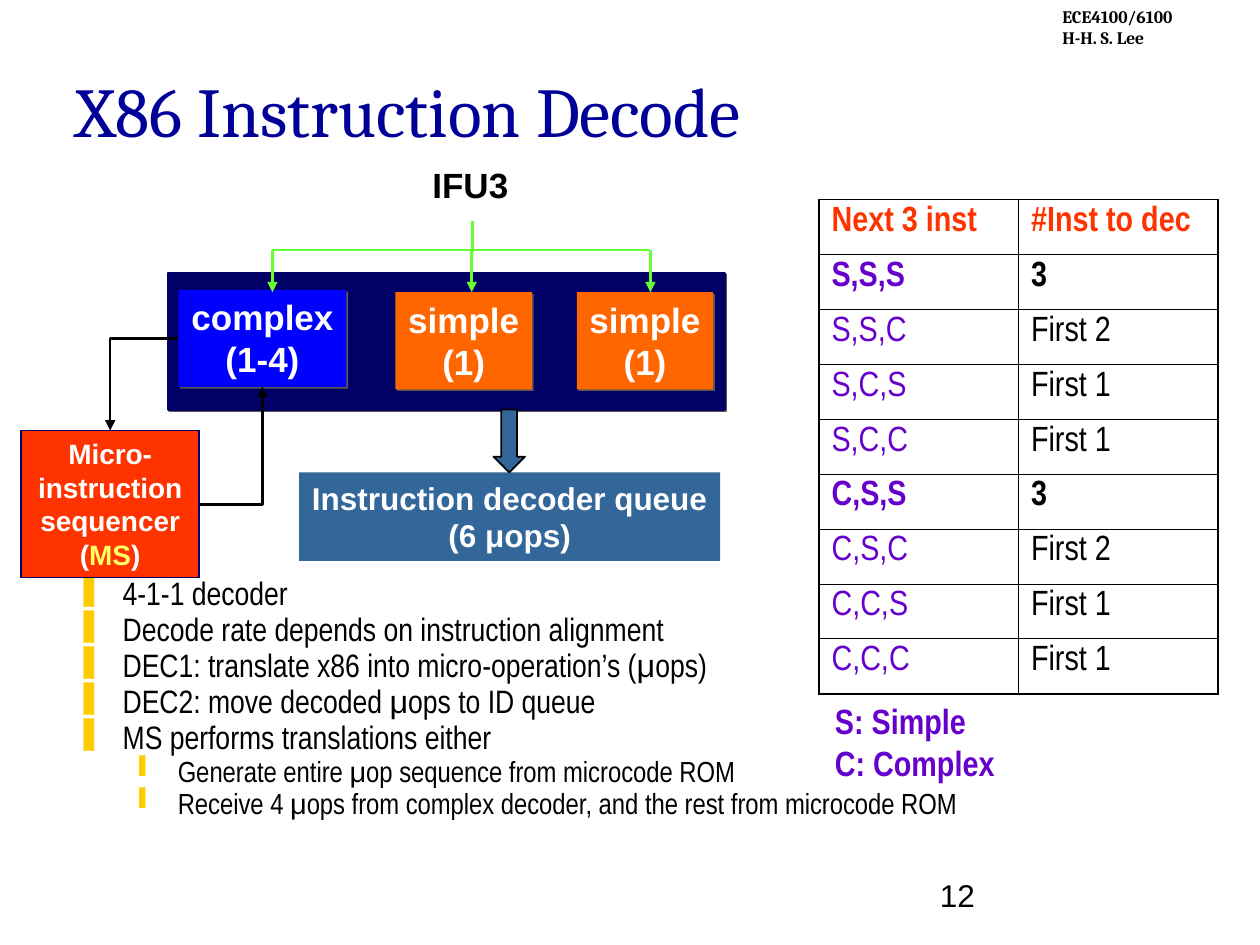
from lxml.etree import SubElement
from pptx import Presentation
from pptx.dml.color import RGBColor
from pptx.enum.shapes import MSO_CONNECTOR as CONNECTOR, MSO_SHAPE as SHAPE
from pptx.enum.text import MSO_ANCHOR as ANCHOR, PP_ALIGN as ALIGN
from pptx.oxml.ns import qn
from pptx.util import Pt

BLACK, WHITE, NAVY = "000000", "FFFFFF", "000066"
GREEN, PURPLE, RED = "66FF33", "6600CC", "FF3300"
ORANGE, STEEL, YELLOW = "FF6600", "336699", "FFCC00"
SHADOW = "5E574E"


def rgb(color):
    return RGBColor.from_string(color)


def set_font(font, size, name, color, bold=False):
    font.size, font.name, font.bold = Pt(size), name, bold
    font.color.rgb = rgb(color)


def write(frame, lines, size, name, color, bold=False, align=ALIGN.LEFT,
          anchor=ANCHOR.TOP, wrap=False):
    """Fill a text frame; a line is a string or a list of (text, color) runs."""
    frame.word_wrap = wrap
    frame.vertical_anchor = anchor
    for index, line in enumerate(lines):
        paragraph = frame.paragraphs[0] if index == 0 else frame.add_paragraph()
        paragraph.alignment = align
        set_font(paragraph.font, size, name, color, bold)
        runs = [(line, color)] if isinstance(line, str) else line
        for text, run_color in runs:
            run = paragraph.add_run()
            run.text = text
            if run_color != color:
                run.font.color.rgb = rgb(run_color)


def add_text(slide, box, lines, size, name, color, **options):
    shape = slide.shapes.add_textbox(*map(Pt, box))
    write(shape.text_frame, lines, size, name, color, **options)


def add_block(slide, kind, box, fill, line=None, shadow=False):
    shape = slide.shapes.add_shape(kind, *map(Pt, box))
    shape.fill.solid()
    shape.fill.fore_color.rgb = rgb(fill)
    if line:
        shape.line.color.rgb, shape.line.width = rgb(line[0]), Pt(line[1])
    else:
        shape.line.fill.background()
    shape.shadow.inherit = False
    if shadow:
        effects = shape._element.spPr.find(qn("a:effectLst"))
        outer = SubElement(effects, qn("a:outerShdw"), dist=str(Pt(1.4)),
                           dir="2700000", algn="ctr", rotWithShape="0")
        SubElement(outer, qn("a:srgbClr"), val=SHADOW)
    return shape


def add_label_block(slide, box, lines, fill, size=20, line=None, shadow=False, wrap=False):
    shape = add_block(slide, SHAPE.RECTANGLE, box, fill, line, shadow)
    write(shape.text_frame, lines, size, "Arial", WHITE, bold=True,
          align=ALIGN.CENTER, wrap=wrap)


def add_line(slide, start, end, color, arrow=False, bent=False):
    kind = CONNECTOR.ELBOW if bent else CONNECTOR.STRAIGHT
    connector = slide.shapes.add_connector(kind, *map(Pt, start + end))
    connector.line.color.rgb, connector.line.width = rgb(color), Pt(1.5)
    properties = connector._element.spPr
    if bent:  # one corner: horizontal first, then vertical
        properties.find(qn("a:prstGeom")).set("prst", "bentConnector2")
    if arrow:
        SubElement(properties.find(qn("a:ln")), qn("a:tailEnd"), type="triangle")
    SubElement(properties, qn("a:effectLst"))


def set_bullet(paragraph, character, left, hanging):
    properties = paragraph._p.get_or_add_pPr()
    properties.set("marL", str(Pt(left)))
    properties.set("indent", str(-Pt(hanging)))
    color = SubElement(properties, qn("a:buClr"))
    SubElement(color, qn("a:srgbClr"), val=YELLOW)
    SubElement(properties, qn("a:buChar"), char=character)
    # Default run properties follow the bullet in the schema
    properties.append(properties.find(qn("a:defRPr")))


def add_bullets(slide, box, items):
    frame = slide.shapes.add_textbox(*map(Pt, box)).text_frame
    frame.word_wrap = True
    for index, (level, text) in enumerate(items):
        paragraph = frame.paragraphs[0] if index == 0 else frame.add_paragraph()
        size, before, character, left, hanging = (
            (18.5, 5, "\u275a", 27, 27), (16.6, 4.5, "\u2759", 58.5, 22.5))[level]
        paragraph.level = level
        paragraph.line_spacing, paragraph.space_before = 0.7, Pt(before)
        set_font(paragraph.font, size, "Arial Narrow", BLACK)
        set_bullet(paragraph, character, left, hanging)
        for part in filter(None, text.partition("μ")):
            run = paragraph.add_run()
            run.text = part
            if part == "μ":
                run.font.name = "Arial"


def set_borders(cell, outer_sides):
    properties = cell._tc.get_or_add_tcPr()
    for side in "LRTB":
        width = 1.08 if side in outer_sides else 0.45
        line = SubElement(properties, qn("a:ln" + side), w=str(Pt(width)))
        fill = SubElement(line, qn("a:solidFill"))
        SubElement(fill, qn("a:srgbClr"), val=BLACK)


def add_decode_table(slide, box, rows):
    table = slide.shapes.add_table(len(rows), 2, *map(Pt, box)).table
    table.first_row = table.horz_banding = False
    last = len(rows) - 1
    for row, texts in enumerate(rows):
        table.rows[row].height = Pt(box[3] / len(rows))
        bold = row == 0 or texts[1] == "3"
        for column, text in enumerate(texts):
            cell = table.cell(row, column)
            set_borders(cell, "LR"[column] + "T" * (row == 0) + "B" * (row == last))
            cell.fill.background()
            color = RED if row == 0 else (PURPLE, BLACK)[column]
            write(cell.text_frame, [text], 20, "Arial Narrow", color, bold, wrap=True)
            cell.text_frame.paragraphs[0].space_before = Pt(5)


def main():
    presentation = Presentation()
    presentation.slide_width, presentation.slide_height = Pt(720), Pt(540)
    slide = presentation.slides.add_slide(presentation.slide_layouts[6])

    # Heading
    add_text(slide, (600, 0, 120, 31.5), ["ECE4100/6100", "H-H. S. Lee"],
             10, "Cambria", BLACK, bold=True, wrap=True)
    add_block(slide, SHAPE.RECTANGLE, (96, 156, 318, 78), NAVY, (NAVY, 1.5), shadow=True)
    add_text(slide, (36, 24, 612, 66), ["X86 Instruction Decode"],
             40, "Cambria", "000099", anchor=ANCHOR.BOTTOM, wrap=True)

    # Notes on the decoder
    add_bullets(slide, (36, 330, 660, 147), [
        (0, "4-1-1 decoder"),
        (0, "Decode rate depends on instruction alignment"),
        (0, "DEC1: translate x86 into micro-operation’s (μops)"),
        (0, "DEC2: move decoded μops to ID queue"),
        (0, "MS performs translations either"),
        (1, "Generate entire μop sequence from microcode ROM"),
        (1, "Receive 4 μops from complex decoder, and the rest from microcode ROM"),
    ])

    # Decoders
    add_label_block(slide, (102, 165.6, 96, 55.5), ["complex", "(1-4)"], "0000FF", shadow=True)
    for left in (226, 329.6):
        add_label_block(slide, (left, 167, 78, 55.5), ["simple", "(1)"], ORANGE, shadow=True)

    # Fetch unit feeding the decoders
    fork_y, targets = 142.8, (155.7, 269.6, 371.7)
    for x in targets:
        add_line(slide, (x, fork_y), (x, 167), GREEN, arrow=True)
    add_line(slide, (targets[0], fork_y), (targets[-1], fork_y), GREEN)
    add_line(slide, (270, 126), (270, 144), GREEN)
    add_text(slide, (240, 90, 57.6, 31.5), ["IFU3"], 20, "Arial", BLACK, bold=True)

    # Microinstruction sequencer and decoder queue
    sequencer_text = [("Micro-instruction sequencer (", WHITE), ("MS", "FFFF66"), (")", WHITE)]
    add_label_block(slide, (12, 246, 102, 84), [sequencer_text], RED, size=16,
                    line=(NAVY, 0.99), wrap=True)
    add_line(slide, (102, 193.3), (63, 246), BLACK, arrow=True, bent=True)
    add_label_block(slide, (171, 270, 240.5, 50.5),
                    ["Instruction decoder queue", "(6 μops)"], STEEL, size=18)
    add_line(slide, (114, 288.5), (150, 221), BLACK, arrow=True, bent=True)

    # Decode combinations and legend
    add_decode_table(slide, (468, 114, 228, 282.6), [
        ("Next 3 inst", "#Inst to dec"),
        ("S,S,S", "3"), ("S,S,C", "First 2"), ("S,C,S", "First 1"), ("S,C,C", "First 1"),
        ("C,S,S", "3"), ("C,S,C", "First 2"), ("C,C,S", "First 1"), ("C,C,C", "First 1"),
    ])
    add_text(slide, (470, 396, 106, 55.5), ["S: Simple", "C: Complex"],
             20, "Arial Narrow", PURPLE, bold=True)

    add_block(slide, SHAPE.DOWN_ARROW, (282, 234, 18, 36), STEEL, (BLACK, 0.99))

    # Page number
    add_text(slide, (530, 490, 150, 36), ["12"], 18, "Arial", BLACK,
             anchor=ANCHOR.BOTTOM, wrap=True)
    presentation.save("out.pptx")


main()
